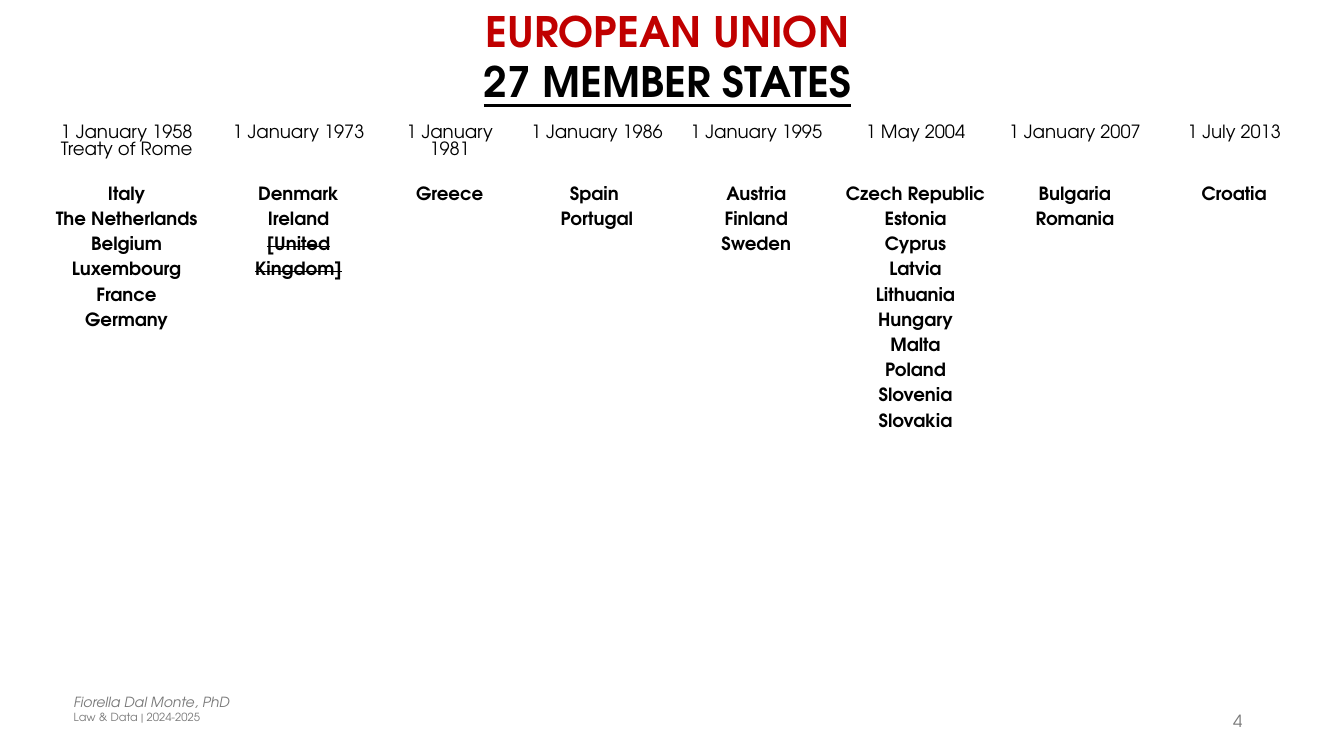
"""Build the slide listing European Union member states by accession date."""
import pptx
import pptx.dml.color
import pptx.enum.text
import pptx.util

FONT = "TeX Gyre Adventor"
BLACK, RED, GREY = "000000", "C00000", "797979"
CENTER = pptx.enum.text.PP_ALIGN.CENTER
LEFT = pptx.enum.text.PP_ALIGN.LEFT
RIGHT = pptx.enum.text.PP_ALIGN.RIGHT
TOP = pptx.enum.text.MSO_ANCHOR.TOP
MIDDLE = pptx.enum.text.MSO_ANCHOR.MIDDLE

LEAVING = "[United Kingdom]"
COLUMN_WIDTHS = [175, 166, 134] + [158] * 5
ACCESSIONS = [
    (["1 January 1958", "Treaty of Rome"],
     ["Italy", "The Netherlands", "Belgium", "Luxembourg", "France", "Germany"]),
    (["1 January 1973"], ["Denmark", "Ireland", LEAVING]),
    (["1 January 1981"], ["Greece"]),
    (["1 January 1986"], ["Spain ", "Portugal"]),
    (["1 January 1995"], ["Austria", "Finland", "Sweden"]),
    (["1 May 2004"],
     ["Czech Republic ", "Estonia", "Cyprus", "Latvia", "Lithuania", "Hungary",
      "Malta", "Poland", "Slovenia", "Slovakia"]),
    (["1 January 2007"], ["Bulgaria", "Romania"]),
    (["1 July 2013"], ["Croatia"]),
]


def px(length):
    """Turn pixels, 100 to the inch, into EMU."""
    return pptx.util.Emu(length * 9144)


def color(hex_value):
    """Turn a hex string into a colour."""
    return pptx.dml.color.RGBColor.from_string(hex_value)


def add_line(frame, first, text, size, hex_value, align, bold=False,
             italic=False, underline=False):
    """Write one paragraph of one run and return both."""
    line = frame.paragraphs[0] if first else frame.add_paragraph()
    line.alignment = align
    run = line.add_run()
    run.text = text
    font = run.font
    font.name, font.size = FONT, pptx.util.Pt(size)
    font.bold, font.italic, font.underline = bold, italic, underline
    font.color.rgb = color(hex_value)
    return line, run


def add_text_box(slide, left, top, width, height):
    """Add a wrapping text box anchored in the middle and return its frame."""
    frame = slide.shapes.add_textbox(
        px(left), px(top), px(width), px(height)).text_frame
    frame.word_wrap = True
    frame.vertical_anchor = MIDDLE
    return frame


def add_heading(slide):
    """Place the two-line title."""
    heading = slide.shapes.title
    heading.left, heading.top = px(19), px(0)
    heading.width, heading.height = px(1286), px(365)
    frame = heading.text_frame
    frame.vertical_anchor = TOP
    frame.auto_size = pptx.enum.text.MSO_AUTO_SIZE.NONE
    add_line(frame, True, "EUROPEAN UNION", 30, RED, CENTER, bold=True)
    add_line(frame, False, "27 MEMBER STATES", 30, BLACK, CENTER, bold=True,
             underline=True)


def fill_cell(cell, entries, spacing, bold):
    """Write centred entries into an unfilled cell."""
    cell.fill.background()
    for index, entry in enumerate(entries):
        line, run = add_line(cell.text_frame, index == 0, entry, 13, BLACK,
                             CENTER, bold=bold)
        line.line_spacing = pptx.util.Pt(spacing)
        if entry == LEAVING:
            run.font._element.set("strike", "sngStrike")


def add_accession_table(slide):
    """Add the table with dates above and member states below."""
    table = slide.shapes.add_table(
        2, len(ACCESSIONS), px(38), px(119), px(sum(COLUMN_WIDTHS)),
        px(499)).table
    table.horz_banding = False
    table.rows[0].height, table.rows[1].height = px(53), px(446)
    for index, (dates, states) in enumerate(ACCESSIONS):
        table.columns[index].width = px(COLUMN_WIDTHS[index])
        fill_cell(table.cell(0, index), dates, 12, False)
        fill_cell(table.cell(1, index), states, 18, True)


def add_footer(slide):
    """Add the author, the course and the page number."""
    credit = add_text_box(slide, 4, 671, 1329, 79)
    credit.margin_left, credit.margin_bottom = px(69), px(19)
    add_line(credit, True, "Fiorella Dal Monte, PhD", 10, GREY, LEFT, italic=True)
    add_line(credit, False, "Law & Data | 2024-2025", 8, GREY, LEFT)
    page_number = add_text_box(slide, 942, 695, 300, 40)
    add_line(page_number, True, "4", 12, GREY, RIGHT)


def main():
    """Build and save the slide."""
    deck = pptx.Presentation()
    deck.slide_width, deck.slide_height = px(1333), px(750)
    slide = deck.slides.add_slide(deck.slide_layouts[5])
    add_footer(slide)
    add_heading(slide)
    add_accession_table(slide)
    deck.save("out.pptx")


if __name__ == "__main__":
    main()
